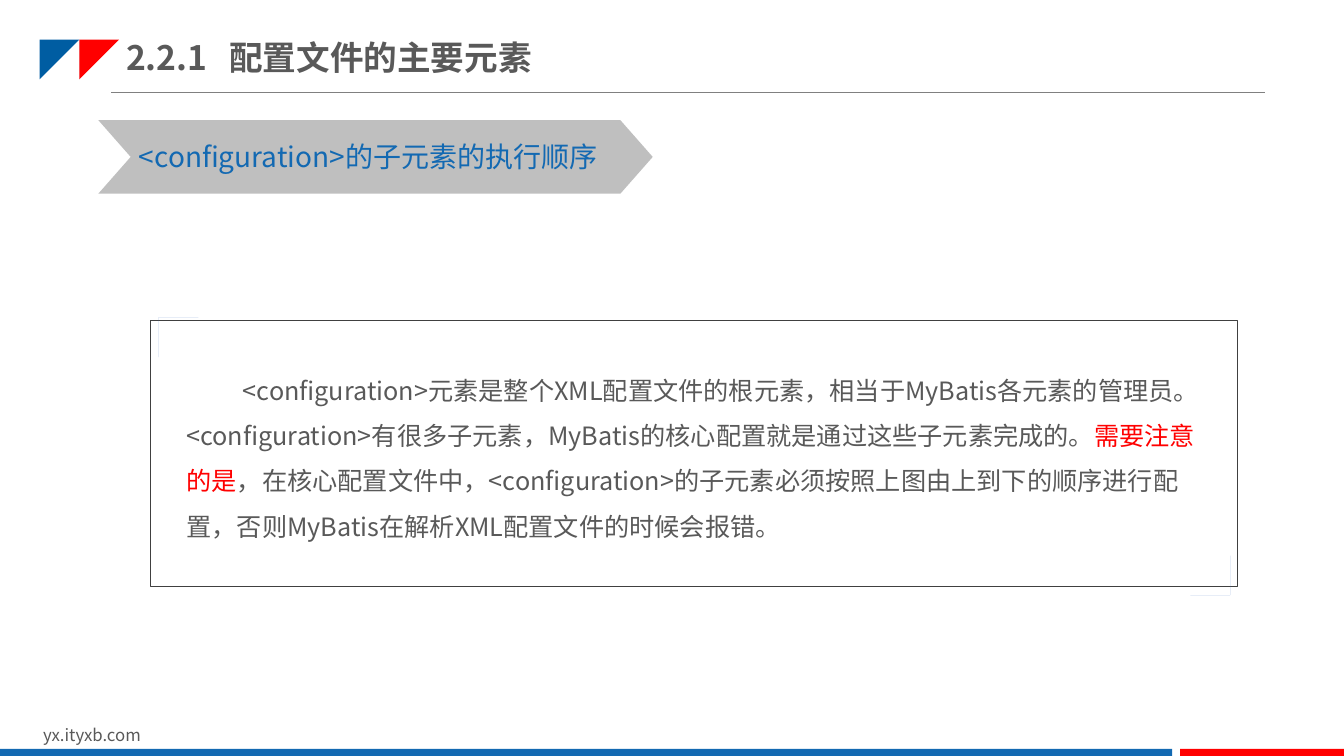
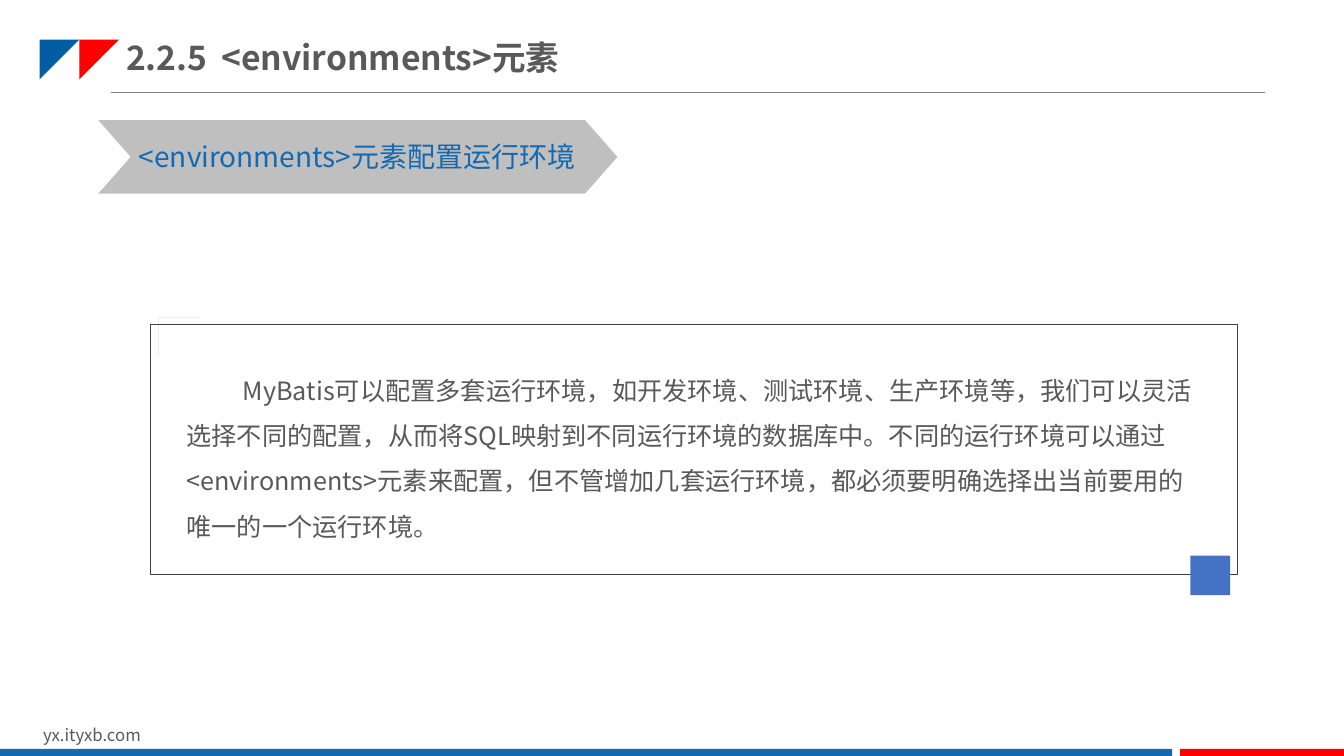
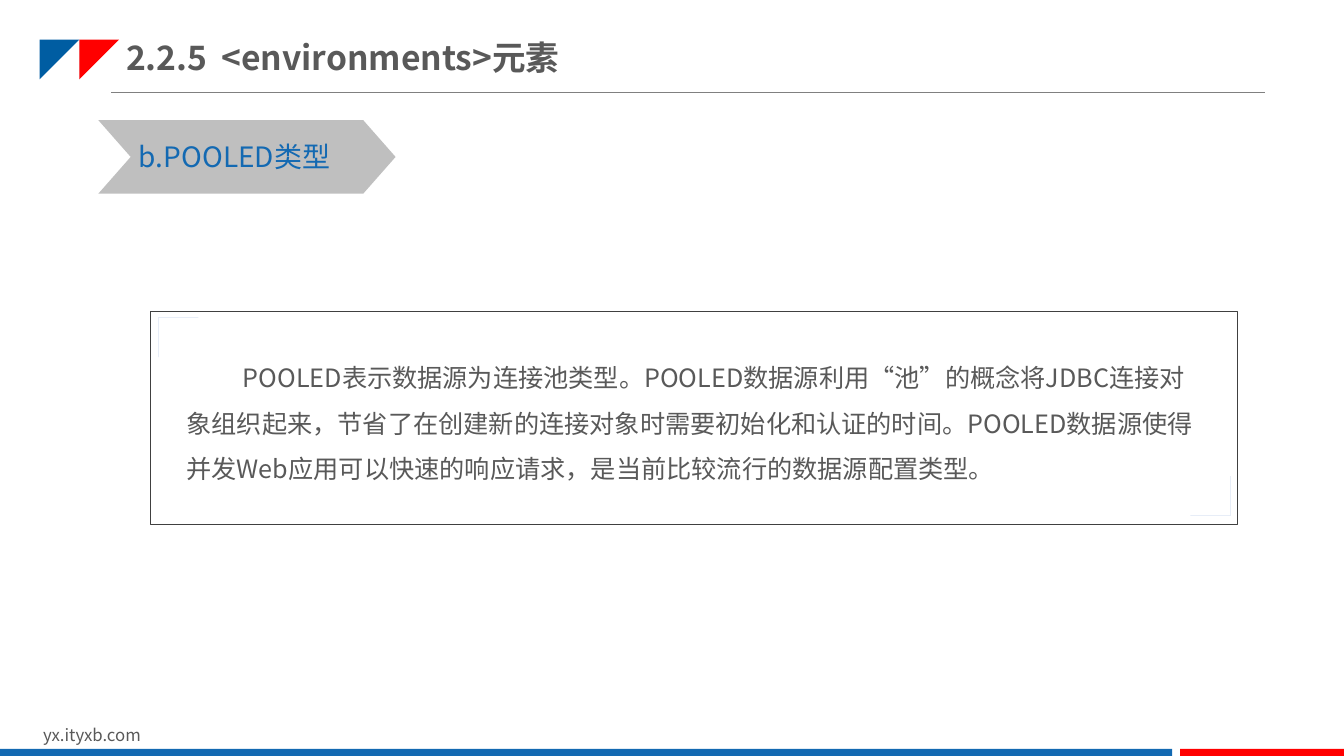
from lxml.etree import SubElement
from pptx import Presentation
from pptx.dml.color import RGBColor
from pptx.enum.lang import MSO_LANGUAGE_ID
from pptx.enum.shapes import MSO_CONNECTOR, MSO_SHAPE
from pptx.enum.text import MSO_ANCHOR, MSO_AUTO_SIZE, PP_ALIGN
from pptx.oxml.ns import qn
from pptx.util import Cm, Pt

COLORS = {
    "text": "595959", "blue": "1369B2", "red": "FF0000", "navy": "005DA2",
    "sky": "3992DB", "rule": "808080", "banner": "BFBFBF",
    "frame": "404040", "corner": "4472C4",
}
FONT = "Noto Sans CJK SC"
WIDTH, HEIGHT = 33.87, 19.05
FRAME_LEFT, FRAME_WIDTH = 3.78, 27.41
ARROW = [(0, 0.11), (0.12, 0), (0.5, 0.38), (0.12, 0.76), (0, 0.65), (0.27, 0.38)]
CORNER = [(0, 0), (1.07, 0), (1.07, 0.3), (0.3, 0.3), (0.3, 1.07), (0, 1.07)]

PAGES = [
    {
        "title": "2.2.1\t配置文件的主要元素", "title_tab": 2.6,
        "banner": "<configuration>的子元素的执行顺序", "banner_width": 13.97,
        "frame_top": 8.07, "frame_height": 6.7, "body_top": 8.94,
        "body": [
            ("<configuration>元素是整个XML配置文件的根元素，相当于MyBatis各元素的管理员。"
             "<configuration>有很多子元素，MyBatis的核心配置就是通过这些子元素完成的。", "text"),
            ("需要注意的是", "red"),
            ("，在核心配置文件中，<configuration>的子元素必须按照上图由上到下的顺序进行配置，"
             "否则MyBatis在解析XML配置文件的时候会报错。", "text"),
        ],
    },
    {
        "title": "2.2.5\t<environments>元素", "title_tab": 2.4,
        "banner": "<environments>元素配置运行环境", "banner_width": 13.08,
        "frame_top": 8.16, "frame_height": 6.32, "body_top": 8.94,
        "body": [
            ("MyBatis可以配置多套运行环境，如开发环境、测试环境、生产环境等，"
             "我们可以灵活选择不同的配置，从而将SQL映射到不同运行环境的数据库中。"
             "不同的运行环境可以通过<environments>元素来配置，但不管增加几套运行环境，"
             "都必须要明确选择出当前要用的唯一的一个运行环境。", "text"),
        ],
    },
    {
        "title": "2.2.5\t<environments>元素", "title_tab": 2.4,
        "banner": "b.POOLED类型", "banner_width": 7.49,
        "frame_top": 7.85, "frame_height": 5.36, "body_top": 8.63,
        "body": [
            ("POOLED表示数据源为连接池类型。POOLED数据源利用“池”的概念将JDBC连接对象组织起来，"
             "节省了在创建新的连接对象时需要初始化和认证的时间。"
             "POOLED数据源使得并发Web应用可以快速的响应请求，"
             "是当前比较流行的数据源配置类型。", "text"),
        ],
    },
]


def rgb(name):
    return RGBColor.from_string(COLORS[name])


def assign(target, values):
    for name, value in values.items():
        setattr(target, name, value)


def add_span(para, text, size, color, bold=False):
    span = para.add_run()
    span.text = text
    assign(span.font, {"name": FONT, "size": Pt(size), "bold": bold,
                       "language_id": MSO_LANGUAGE_ID.SIMPLIFIED_CHINESE})
    span.font.color.rgb = rgb(color)
    SubElement(span.font._element, qn("a:ea"), typeface=FONT)


def add_box(page, left, top, width, height, wrap=True):
    box = page.shapes.add_textbox(Cm(left), Cm(top), Cm(width), Cm(height))
    box.text_frame.word_wrap = wrap
    return box.text_frame.paragraphs[0]


def paint(shape, fill):
    shape.shadow.inherit = False
    shape.fill.solid()
    shape.fill.fore_color.rgb = rgb(fill)
    shape.line.fill.background()


def add_block(page, kind, left, top, width, height, fill):
    block = page.shapes.add_shape(kind, Cm(left), Cm(top), Cm(width), Cm(height))
    paint(block, fill)
    return block


def add_outline(page, points, left, top, fill, direction=1):
    placed = [(left + direction * x, top + direction * y) for x, y in points]
    builder = page.shapes.build_freeform(*placed[0], scale=Cm(1))
    builder.add_line_segments(placed[1:], close=True)
    paint(builder.convert_to_shape(), fill)


def add_title(page, text, tab):
    title = page.shapes.title
    assign(title, {"left": Cm(3.18), "top": Cm(0.74), "width": Cm(12.4), "height": Cm(1.4)})
    assign(title.text_frame, {
        "margin_left": 0, "margin_right": 0, "margin_top": Cm(0.18), "margin_bottom": Cm(0.18),
        "vertical_anchor": MSO_ANCHOR.MIDDLE, "word_wrap": True, "auto_size": MSO_AUTO_SIZE.NONE,
    })
    para = title.text_frame.paragraphs[0]
    para.alignment = PP_ALIGN.LEFT
    stops = SubElement(para._p.get_or_add_pPr(), qn("a:tabLst"))
    SubElement(stops, qn("a:tab"), pos=str(Cm(tab)), algn="l")
    add_span(para, text, 24, "text", bold=True)


def add_common_parts(page):
    rule = page.shapes.add_connector(MSO_CONNECTOR.STRAIGHT, Cm(2.8), Cm(2.33), Cm(31.88), Cm(2.33))
    rule.line.color.rgb = rgb("rule")
    rule.line.width = Pt(0.5)
    SubElement(rule._element.spPr, qn("a:effectLst"))
    for index, color in enumerate(["navy", "sky", "red"]):
        add_outline(page, ARROW, 1.2 + 0.47 * index, 1.09, color)
    add_span(add_box(page, 0.84, 18.13, 8.08, 0.77), "yx.ityxb.com", 12, "text")
    for left, right, color in [(0, 29.54, "blue"), (29.74, WIDTH, "red")]:
        add_block(page, MSO_SHAPE.RECTANGLE, left, 18.87, right - left, HEIGHT - 18.87, color)


def add_banner(page, text, width):
    banner = add_block(page, MSO_SHAPE.CHEVRON, 2.48, 3.03, width, 1.85, "banner")
    banner.adjustments[0] = 0.44
    add_span(add_box(page, 3.25, 3.38, width - 1.2, 1.12, wrap=False), text, 20, "blue")


def add_frame(page, top, height):
    frame = add_block(page, MSO_SHAPE.RECTANGLE, FRAME_LEFT, top, FRAME_WIDTH, height, "frame")
    frame.fill.background()
    frame.line.color.rgb = rgb("frame")
    frame.line.width = Pt(0.25)
    add_outline(page, CORNER, FRAME_LEFT - 0.15, top - 0.22, "corner")
    add_outline(page, CORNER, FRAME_LEFT + FRAME_WIDTH + 0.15, top + height + 0.17, "corner", -1)


def add_body(page, spans, top, height):
    para = add_box(page, 4.45, top, 26.09, height)
    para.line_spacing = 1.5
    para._p.get_or_add_pPr().set("indent", str(Cm(1.42)))
    for text, color in spans:
        add_span(para, text, 18, color)


def main():
    deck = Presentation()
    assign(deck, {"slide_width": Cm(WIDTH), "slide_height": Cm(HEIGHT)})
    for content in PAGES:
        page = deck.slides.add_slide(deck.slide_layouts[5])
        add_common_parts(page)
        add_title(page, content["title"], content["title_tab"])
        add_banner(page, content["banner"], content["banner_width"])
        add_frame(page, content["frame_top"], content["frame_height"])
        add_body(page, content["body"], content["body_top"], content["frame_height"] - 1.6)
    deck.save("out.pptx")


if __name__ == "__main__":
    main()
